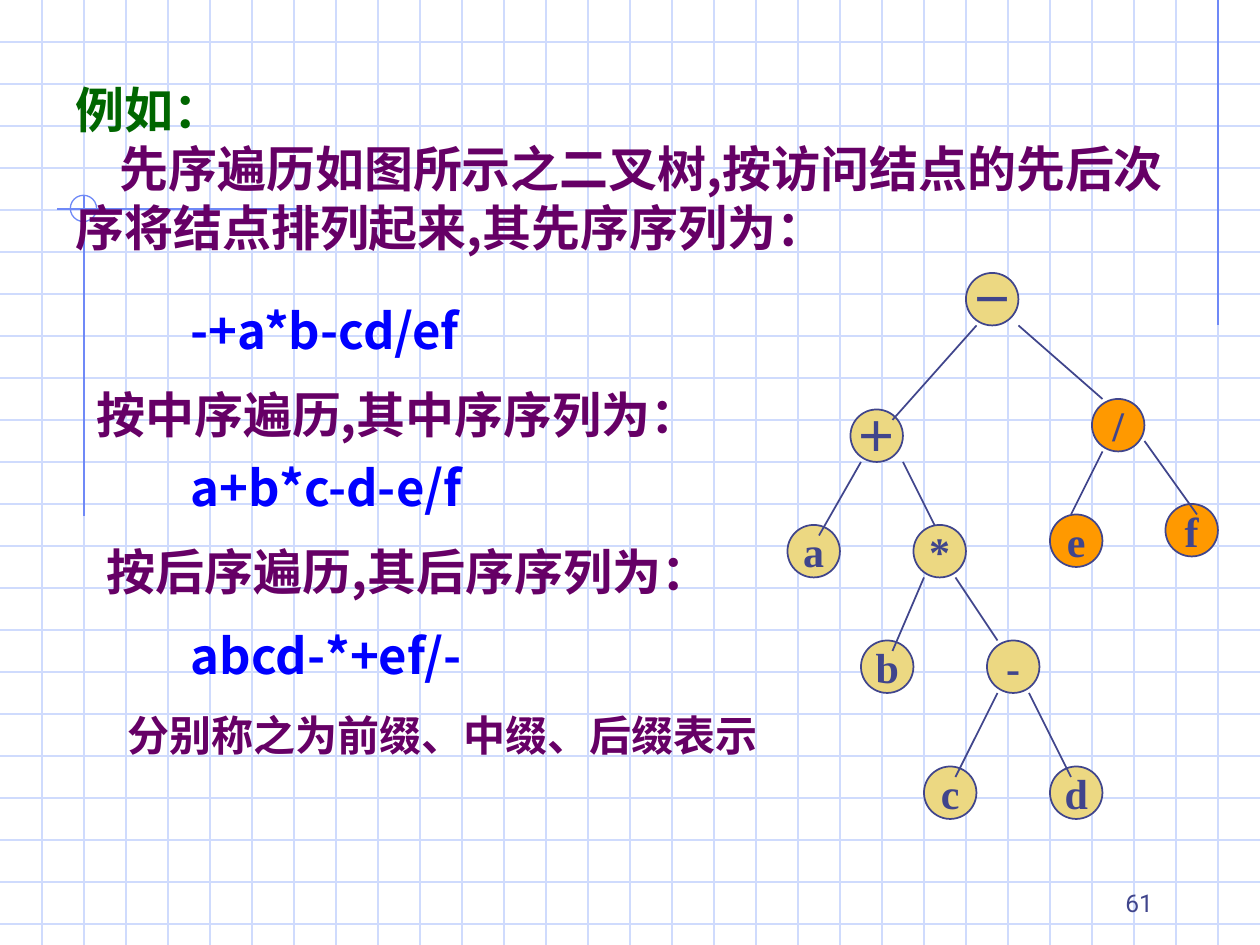
import pptx
import pptx.dml.color
import pptx.enum.shapes
import pptx.enum.text
import pptx.oxml.ns
import pptx.util
from lxml import etree

COLOURS = {"grid": "CFDBFD", "accent": "6F89F7", "ink": "40458C", "plum": "660066",
           "green": "006600", "blue": "0000FF", "sand": "ECD882", "orange": "FF9900"}
HEITI, SERIF, NUMBER = "Noto Sans CJK SC", "Times New Roman", "Roboto"
ALIGN = pptx.enum.text.PP_ALIGN
ANCHOR = pptx.enum.text.MSO_ANCHOR
rgb = pptx.dml.color.RGBColor.from_string

deck = pptx.Presentation()
deck.slide_width, deck.slide_height = pptx.util.Inches(10), pptx.util.Inches(7.5)
page = deck.slides.add_slide(deck.slide_layouts[6])
UNIT = deck.slide_width // 120  # the slide is 120 columns by 90 rows


def draw_line(start, end, colour, width=0.75):
    line = page.shapes.add_connector(pptx.enum.shapes.MSO_CONNECTOR.STRAIGHT,
                                     *(round(value * UNIT) for value in (*start, *end)))
    line.line.color.rgb = rgb(COLOURS[colour])
    line.line.width = pptx.util.Pt(width)
    etree.SubElement(line._element.spPr, pptx.oxml.ns.qn("a:effectLst"))


def write(box, *lines, font=HEITI, size=28, bold=True, align=ALIGN.LEFT,
          anchor=ANCHOR.TOP, wrap=True):
    """Fill a box with (text, colour, first-line indent in columns) lines."""
    frame = box.text_frame
    frame.word_wrap, frame.vertical_anchor = wrap, anchor
    for number, (text, colour, indent) in enumerate(lines):
        para = frame.add_paragraph() if number else frame.paragraphs[0]
        para.alignment = align
        if indent:
            para._p.get_or_add_pPr().set("indent", str(round(indent * UNIT)))
        span = para.add_run()
        span.text = text
        span.font.name, span.font.size = font, pptx.util.Pt(size)
        span.font.bold, span.font.color.rgb = bold, rgb(COLOURS[colour])
        east_asian = etree.SubElement(span._r.get_or_add_rPr(), pptx.oxml.ns.qn("a:ea"))
        east_asian.set("typeface", HEITI)


# Squared paper
for row in range(4, 90, 4):
    draw_line((0, row), (120, row), "grid")
for column in range(4, 120, 4):
    draw_line((column, 0), (column, 90), "grid")

# Margin lines and the arc where they cross
draw_line((116, 0), (116, 31), "accent")
draw_line((28.8, 19.9), (5.4, 19.9), "accent")
draw_line((8, 18.6), (8, 49.1), "accent")
arc = page.shapes.add_shape(pptx.enum.shapes.MSO_SHAPE.ARC, round(6.7 * UNIT),
                            round(18.6 * UNIT), round(2.5 * UNIT), round(2.5 * UNIT))
arc.adjustments[0], arc.adjustments[1] = 0, -90
arc.shadow.inherit = False
arc.fill.background()
arc.line.color.rgb = rgb(COLOURS["accent"])
arc.line.width = pptx.util.Pt(0.75)

# Introduction
intro = page.shapes.add_textbox(6 * UNIT, 7 * UNIT, 106 * UNIT, round(22.8 * UNIT))
write(intro, ("例如：", "green", 0),
      ("先序遍历如图所示之二叉树,按访问结点的先后次序将结点排列起来,其先序序列为：",
       "plum", 4.2))

# Expression tree: label, column, row, fill
nodes = [("－", 92, 26, "sand"), ("＋", 81, 39, "sand"), ("*", 87, 50, "sand"),
         ("a", 75, 50, "sand"), ("/", 104, 38, "orange"), ("b", 82, 61, "sand"),
         ("-", 94, 61, "sand"), ("d", 100, 73, "sand"), ("c", 88, 73, "sand"),
         ("f", 111, 48, "orange"), ("e", 100, 49, "orange")]
for label, column, row, fill in nodes:
    node = page.shapes.add_shape(pptx.enum.shapes.MSO_SHAPE.OVAL, column * UNIT,
                                 row * UNIT, 5 * UNIT, 5 * UNIT)
    node.shadow.inherit = False
    node.fill.solid()
    node.fill.fore_color.rgb = rgb(COLOURS[fill])
    node.line.color.rgb = rgb(COLOURS["ink"])
    node.line.width = pptx.util.Pt(1)
    write(node, (label, "ink", 0), font=SERIF, size=24, align=ALIGN.CENTER,
          anchor=ANCHOR.MIDDLE, wrap=False)

branches = [((93, 31), (85, 40)), ((82, 44), (78, 51)), ((86, 44), (89, 50)),
            ((88, 55), (85, 62)), ((91, 55), (95, 61)), ((98, 66), (102, 74)),
            ((95, 66), (91, 74)), ((97, 31), (105, 38)), ((105, 43), (102, 49)),
            ((109, 42), (114, 49))]
for start, end in branches:
    draw_line(start, end, "ink", 1)

# Traversals: text, colour, column, row, width
traversals = [("-+a*b-cd/ef", "blue", 17, 28, 60),
              ("按中序遍历,其中序序列为：", "plum", 8, 36, 60),
              ("a+b*c-d-e/f", "blue", 17, 43, 60),
              ("按后序遍历,其后序序列为：", "plum", 9, 51, 60),
              ("abcd-*+ef/-", "blue", 17, 59, 55)]
for text, colour, column, row, width in traversals:
    box = page.shapes.add_textbox(column * UNIT, row * UNIT, width * UNIT, 7 * UNIT)
    write(box, (text, colour, 0))
    box.text_frame.paragraphs[0].space_before = pptx.util.Pt(17.5)

summary = page.shapes.add_textbox(11 * UNIT, 67 * UNIT, 64 * UNIT, 11 * UNIT)
write(summary, ("分别称之为前缀、中缀、后缀表示", "plum", 0), font=SERIF, size=24)

page_number = page.shapes.add_textbox(86 * UNIT, 82 * UNIT, 25 * UNIT, 6 * UNIT)
write(page_number, ("61", "ink", 0), font=NUMBER, size=14, bold=False,
      align=ALIGN.RIGHT, anchor=ANCHOR.BOTTOM)

deck.save("out.pptx")
